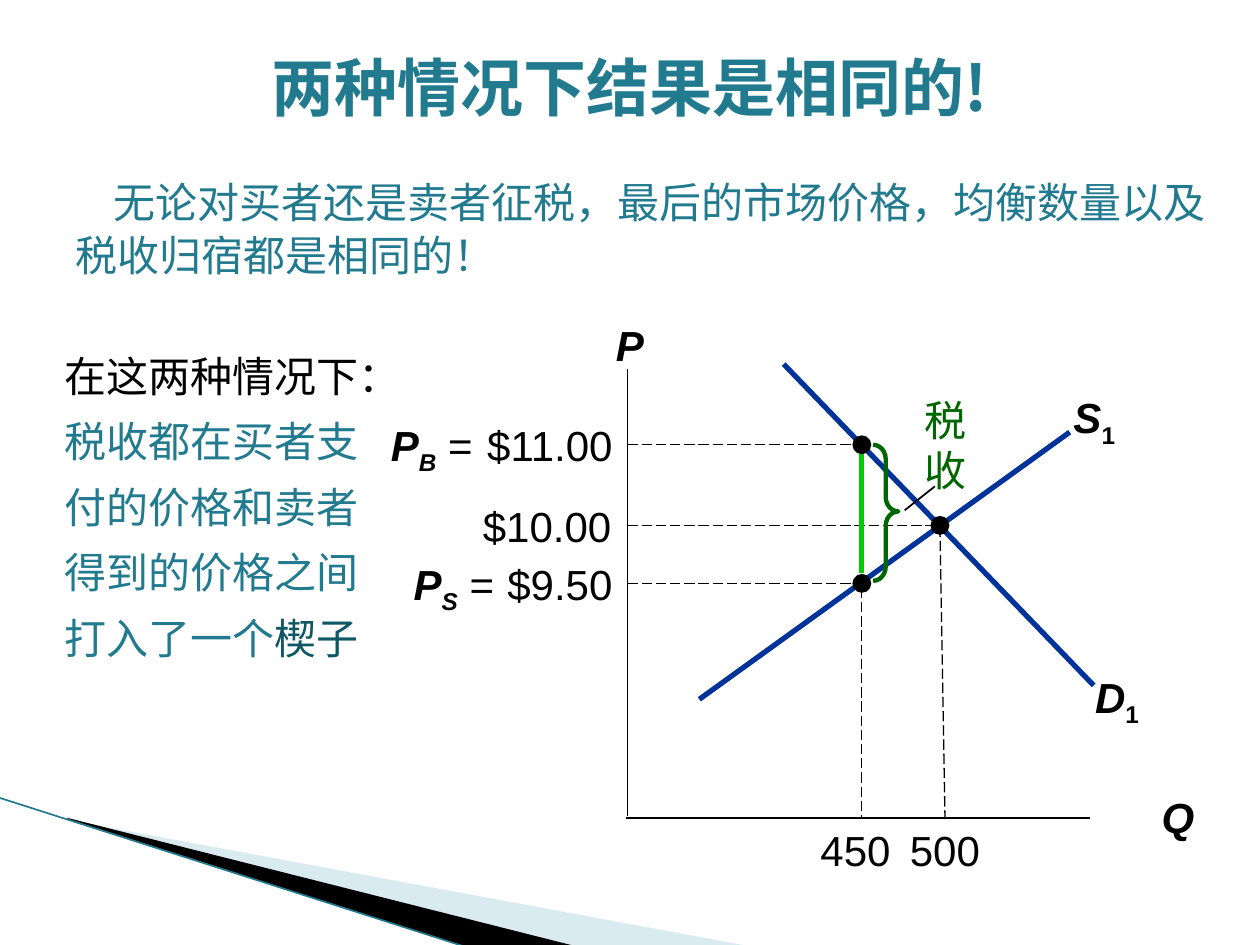
from lxml import etree
from pptx import Presentation
from pptx import util as u
from pptx.dml.color import RGBColor
from pptx.enum import dml, shapes, text
from pptx.oxml import ns

Inches = u.Inches
colour = RGBColor.from_string
BLACK, TEAL, GREEN, BLUE = "000000", "227A8F", "006600", "003399"
CJK = "Noto Sans CJK SC"
LEFT, CENTER, RIGHT = text.PP_ALIGN.LEFT, text.PP_ALIGN.CENTER, text.PP_ALIGN.RIGHT


def write(para, words, size=24, font="Arial", fill=BLACK, bold=False, italic=False, sub=False):
    """Add one formatted run to a paragraph."""
    span = para.add_run()
    span.text = words
    span.font.size = u.Pt(size)
    span.font.bold = bold
    span.font.italic = italic
    span.font.color.rgb = colour(fill)
    span.font.name = font
    props = span._r.get_or_add_rPr()
    etree.SubElement(props, ns.qn("a:ea")).set("typeface", CJK)
    if sub:
        props.set("baseline", "-25000")


def draw_line(x1, y1, x2, y2, fill=BLACK, width=1, dashed=False):
    line = page.shapes.add_connector(
        shapes.MSO_CONNECTOR.STRAIGHT, Inches(x1), Inches(y1), Inches(x2), Inches(y2))
    line.line.color.rgb = colour(fill)
    line.line.width = u.Pt(width)
    if dashed:
        line.line.dash_style = dml.MSO_LINE.LONG_DASH
    etree.SubElement(line._element.spPr, ns.qn("a:effectLst"))


deck = Presentation()
deck.slide_width, deck.slide_height = Inches(10), Inches(7.5)
page = deck.slides.add_slide(deck.slide_layouts.get_by_name("Two Content"))
title, intro, wedge = page.placeholders

# Corner decoration
corner = [
    ([(0.55, 6.51), (5.95, 7.51), (4.56, 7.51), (0.55, 6.5)], "A0CBDC", 40),
    ([(0.53, 6.49), (4.57, 7.51), (3.72, 7.52), (0.54, 6.5)], BLACK, 100),
]
for points, fill, opacity in corner:
    points = [(Inches(x), Inches(y)) for x, y in points]
    builder = page.shapes.build_freeform(*points[0])
    builder.add_line_segments(points[1:])
    band = builder.convert_to_shape()
    band.shadow.inherit = False
    band.line.fill.background()
    band.fill.solid()
    band.fill.fore_color.rgb = colour(fill)
    if opacity < 100:
        tint = band._element.spPr.find(".//" + ns.qn("a:srgbClr"))
        etree.SubElement(tint, ns.qn("a:alpha")).set("val", str(opacity * 1000))
draw_line(-0.01, 6.33, 3.71, 7.52, TEAL, 0.95)

# Title and the two text bodies
bodies = [
    (title, (0, 0.33, 10, 0.71), CENTER, 1, 0,
     [("两种情况下结果是相同的!", dict(size=36, font=CJK, fill=TEAL, bold=True))]),
    (intro, (0.5, 1.33, 9.18, 1.12), LEFT, 1.05, 0.3,
     [("无论对买者还是卖者征税，最后的市场价格，均衡数量以及税收归宿都是相同的！", dict(fill=TEAL))]),
    (wedge, (0.41, 2.61, 2.61, 4.47), LEFT, 1.3, 0,
     [("在这两种情况下：", dict(font="DejaVu Sans Mono")),
      ("税收都在买者支付的价格和卖者得到的价格之间打入了一个",
       dict(font="DejaVu Sans Mono", fill=TEAL)),
      ("楔子", dict(font=CJK, fill="105766"))]),
]
for box, place, align, spacing, indent, spans in bodies:
    box.left, box.top, box.width, box.height = map(Inches, place)
    frame = box.text_frame
    frame.word_wrap = True
    frame.auto_size = text.MSO_AUTO_SIZE.NONE
    frame.vertical_anchor = text.MSO_ANCHOR.MIDDLE if box is title else text.MSO_ANCHOR.TOP
    para = frame.paragraphs[0]
    props = para._p.get_or_add_pPr()
    props.set("marL", "0")
    props.set("indent", str(Inches(indent)))
    etree.SubElement(props, ns.qn("a:buNone"))
    para.alignment = align
    para.line_spacing = spacing
    para.space_before = u.Pt(0)
    for words, style in spans:
        write(para, words, **style)

# Axes, supply and demand
draw_line(4.98, 2.93, 4.98, 6.48)
draw_line(4.97, 6.49, 8.65, 6.49)
draw_line(5.55, 5.55, 8.49, 3.43, BLUE, 3)
draw_line(6.22, 2.89, 8.68, 5.44, BLUE, 3)

# Guides from the three price points to the axes, and the tax wedge
price_points = [(6.84, 3.53), (7.46, 4.17), (6.84, 4.63)]
for x, y in price_points:
    draw_line(4.98, y, x, y, width=0.75, dashed=True)
draw_line(7.46, 4.18, 7.5, 6.5, width=0.75, dashed=True)
draw_line(6.84, 3.54, 6.84, 6.49, width=0.75, dashed=True)
draw_line(6.84, 4.55, 6.84, 3.6, "00CC00", 3)
DOT = 0.15
for x, y in price_points:
    dot = page.shapes.add_shape(
        shapes.MSO_SHAPE.OVAL, Inches(x - DOT / 2), Inches(y - DOT / 2), Inches(DOT), Inches(DOT))
    dot.shadow.inherit = False
    dot.fill.solid()
    dot.fill.fore_color.rgb = colour(BLACK)
    dot.line.fill.background()

brace = page.shapes.add_shape(
    shapes.MSO_SHAPE.RIGHT_BRACE, Inches(6.93), Inches(3.53), Inches(0.2), Inches(1.08))
brace.adjustments[0], brace.adjustments[1] = 0.57, 0.49
brace.shadow.inherit = False
brace.fill.background()
brace.line.color.rgb = colour(GREEN)
brace.line.width = u.Pt(2.5)
draw_line(7.18, 4.05, 7.42, 3.86)

# Labels: place, alignment, insets (left, top, right, bottom), spans
symbol = dict(bold=True, italic=True)
curve_index = dict(bold=True, sub=True)
price_index = dict(bold=True, italic=True, sub=True)
PADDED, BARE, PRICE = (0.1, 0.05, 0.1, 0.05), (0, 0, 0, 0), (0, 0, 0.1, 0)
labels = [
    ((4.77, 2.49, 0.46, 0.5), CENTER, PADDED, [("P", symbol)]),
    ((9.1, 6.23, 0.5, 0.5), CENTER, PADDED, [("Q", symbol)]),
    ((8.35, 3.06, 0.67, 0.5), CENTER, PADDED, [("S", symbol), ("1", curve_index)]),
    ((8.53, 5.28, 0.67, 0.5), CENTER, PADDED, [("D", symbol), ("1", curve_index)]),
    ((2.97, 3.28, 0.88, 0.5), RIGHT, PADDED, [("P", symbol), ("B", price_index), (" =", {})]),
    ((3.14, 4.38, 0.88, 0.5), RIGHT, PADDED, [("P", symbol), ("S", price_index), (" =", {})]),
    ((3.68, 3.33, 1.28, 0.4), RIGHT, PRICE, [("$11.00", {})]),
    ((3.7, 3.97, 1.25, 0.4), RIGHT, PRICE, [("$10.00", {})]),
    ((3.93, 4.43, 1.03, 0.4), RIGHT, PRICE, [("$9.50", {})]),
    ((6.47, 6.54, 0.64, 0.4), CENTER, BARE, [("450", {})]),
    ((7.18, 6.54, 0.64, 0.4), CENTER, BARE, [("500", {})]),
    ((7, 3.08, 0.77, 0.91), RIGHT, PADDED, [("税收", dict(fill=GREEN))]),
]
for place, align, insets, spans in labels:
    frame = page.shapes.add_textbox(*map(Inches, place)).text_frame
    frame.word_wrap = True
    frame.auto_size = text.MSO_AUTO_SIZE.SHAPE_TO_FIT_TEXT
    frame.margin_left, frame.margin_top, frame.margin_right, frame.margin_bottom = map(Inches, insets)
    para = frame.paragraphs[0]
    para.alignment = align
    for words, style in spans:
        write(para, words, **style)

deck.save("out.pptx")
